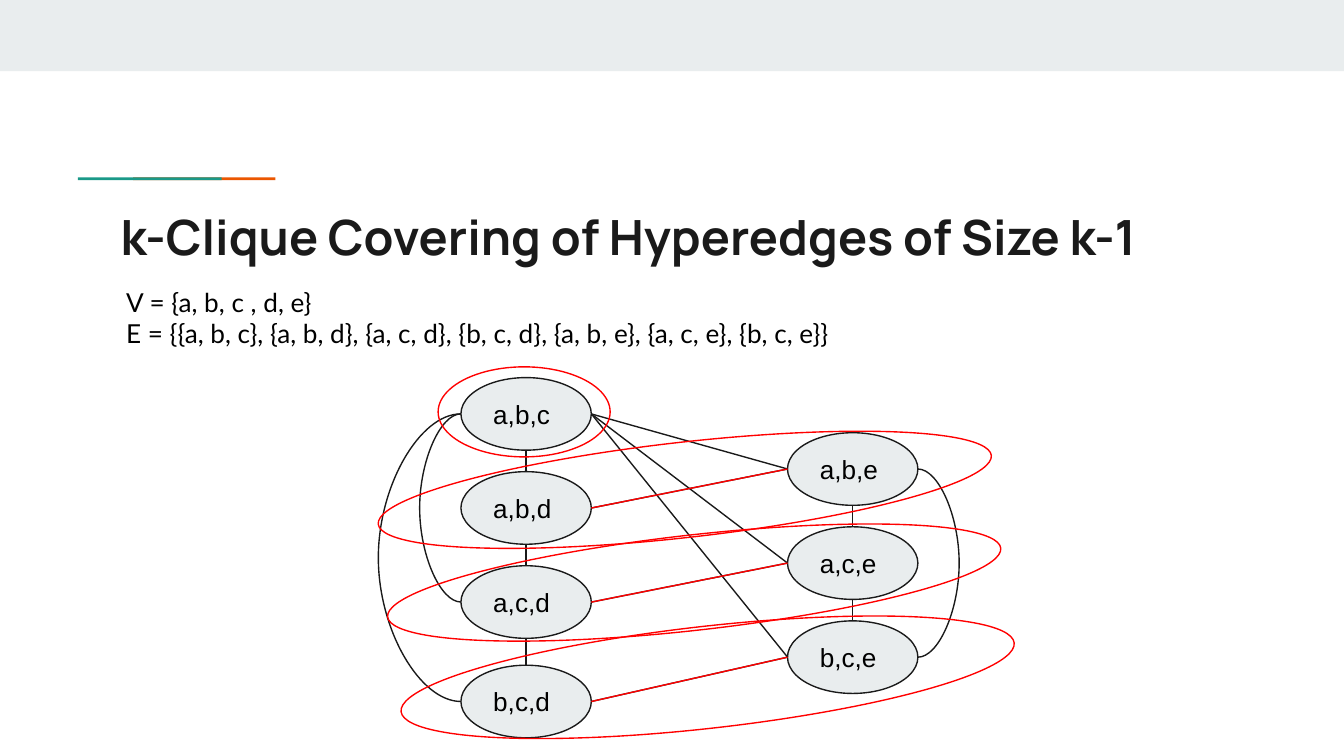
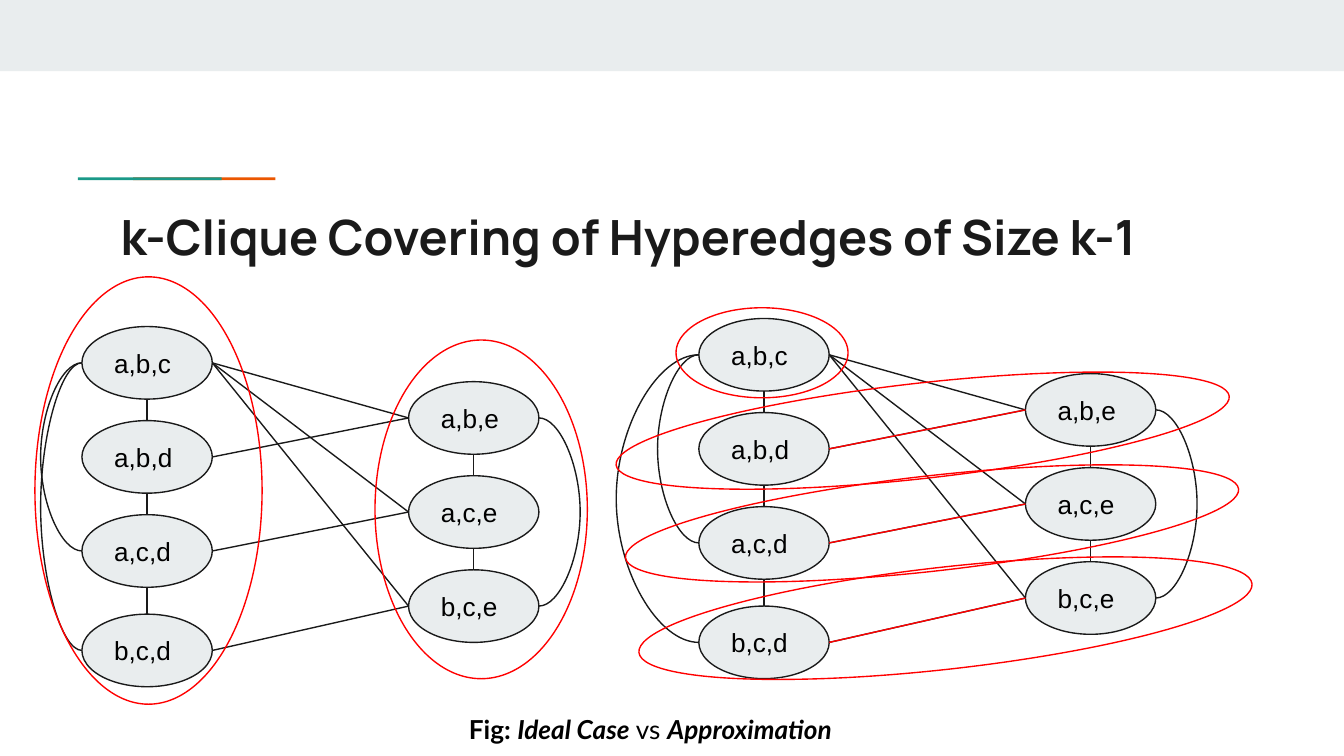
import dataclasses

import lxml.etree
import pptx
import pptx.dml.color
import pptx.enum.shapes
import pptx.enum.text
import pptx.oxml.ns
import pptx.util

Inches = pptx.util.Inches
Pt = pptx.util.Pt
SHAPES = pptx.enum.shapes.MSO_SHAPE
CONNECTORS = pptx.enum.shapes.MSO_CONNECTOR
qn = pptx.oxml.ns.qn


@dataclasses.dataclass(frozen=True)
class Theme:
    pale: str = "E9EDEE"
    ink: str = "1A1A1A"
    black: str = "000000"
    teal: str = "1A9988"
    orange: str = "EB5600"
    red: str = "FF0000"
    title_font: str = "Manrope"
    body_font: str = "Lato"
    node_font: str = "Arial"
    title_size: int = 26
    body_size: int = 14
    line_width: float = 0.75


theme = Theme()
rgb = pptx.dml.color.RGBColor.from_string


def write_text(shape, paragraphs, font=theme.body_font, size=theme.body_size,
               color=theme.black, anchor=pptx.enum.text.MSO_ANCHOR.TOP):
    frame = shape.text_frame
    frame.word_wrap = True
    frame.vertical_anchor = anchor
    frame.margin_left = frame.margin_right = Inches(0.1)
    frame.margin_top = frame.margin_bottom = Inches(0.1)
    for index, runs in enumerate(paragraphs):
        paragraph = frame.paragraphs[0] if index == 0 else frame.add_paragraph()
        paragraph.alignment = pptx.enum.text.PP_ALIGN.LEFT
        for text, style in runs:
            run = paragraph.add_run()
            run.text = text
            run.font.name = font
            run.font.size = Pt(size)
            run.font.color.rgb = rgb(color)
            run.font.bold = "b" in style
            run.font.italic = "i" in style


def draw_shape(slide, kind, box, fill=None, line=None, rotation=0):
    shape = slide.shapes.add_shape(kind, *map(Inches, box))
    shape.shadow.inherit = False
    shape.rotation = rotation
    if fill:
        shape.fill.solid()
        shape.fill.fore_color.rgb = rgb(fill)
    else:
        shape.fill.background()
    if line:
        shape.line.color.rgb = rgb(line)
        shape.line.width = Pt(theme.line_width)
    else:
        shape.line.fill.background()
    return shape


title = "k-Clique Covering of Hyperedges of Size k-1"
hypergraph = [
    [("V = {a, b, c , d, e}", "")],
    [("E = {{a, b, c}, {a, b, d}, {a, c, d}, {b, c, d}, {a, b, e}, {a, c, e}, {b, c, e}}", "")],
]
caption = [[("Fig: ", "b"), ("Ideal Case", "bi"), (" vs ", ""), ("Approximation", "bi")]]

node_width, node_height = 0.97, 0.54
d_column = {"a,b,c": 0, "a,b,d": 0.7, "a,c,d": 1.4, "b,c,d": 2.14}
e_column = {"a,b,e": 0.41, "a,c,e": 1.11, "b,c,e": 1.81}
nodes = {name: (0, y) for name, y in d_column.items()}
nodes.update({name: (2.43, y) for name, y in e_column.items()})

d_names, e_names = list(d_column), list(e_column)
matches = list(zip(d_names[1:], e_names))
cross_edges = [("a,b,c", name) for name in e_names] + matches
column_edges = [pair for names in (d_names, e_names) for pair in zip(names, names[1:])]

ideal_covers = [(-0.35, -0.37, 1.69, 3.18, 0), (2.18, 0.1, 1.58, 2.52, 0)]
approximate_covers = [
    (-0.63, 0.48, 4.59, 0.71, 353.6),
    (-0.56, 1.17, 4.59, 0.71, 353.6),
    (-0.46, 1.85, 4.59, 0.76, 353.6),
    (-0.17, -0.08, 1.28, 0.67, 0),
]
approximation = dict(covers=approximate_covers, matched=matches, outer_bulge=-0.52)
ideal = dict(covers=ideal_covers, matched=[], outer_bulge=-0.26)

pages = [
    dict(text=hypergraph, text_box=(0.84, 2.03, 8.36, 0.67),
         graphs=[(3.43, 2.81, approximation)]),
    dict(text=caption, text_box=(3.39, 5.21, 3.22, 0.38),
         graphs=[(5.2, 2.37, approximation), (0.61, 2.43, ideal)]),
]

deck = pptx.Presentation()
deck.slide_width = Inches(10)
deck.slide_height = deck.slide_width * 9 // 16
curve_width = Inches(0.01) // 15

for page in pages:
    slide = deck.slides.add_slide(deck.slide_layouts[6])
    draw_shape(slide, SHAPES.RECTANGLE, (0, 0, 10, 0.53), fill=theme.pale)
    draw_shape(slide, SHAPES.RECTANGLE, (0.99, 1.32, 1.06, 0.02), fill=theme.orange)
    draw_shape(slide, SHAPES.RECTANGLE, (0.58, 1.32, 1.07, 0.02), fill=theme.teal)
    heading = slide.shapes.add_textbox(*map(Inches, (0.8, 1.44, 8.41, 0.59)))
    write_text(heading, [[(title, "b")]], font=theme.title_font,
               size=theme.title_size, color=theme.ink)

    for left, top, graph in page["graphs"]:
        for name, (x, y) in nodes.items():
            node = draw_shape(slide, SHAPES.OVAL, (left + x, top + y, node_width, node_height),
                              fill=theme.pale, line=theme.ink)
            write_text(node, [[(name, "")]], font=theme.node_font,
                       anchor=pptx.enum.text.MSO_ANCHOR.MIDDLE)

        edges = []
        for upper, lower in column_edges:
            x = nodes[upper][0] + node_width / 2
            edges.append((x, nodes[upper][1] + node_height, x, nodes[lower][1], theme.ink, 0))
        for upper, lower, side, bulge in [
            ("a,b,e", "b,c,e", node_width, 0.26),
            ("a,b,c", "a,c,d", 0, -0.26),
            ("a,b,c", "b,c,d", 0, graph["outer_bulge"]),
        ]:
            x = nodes[upper][0] + side
            edges.append((x, nodes[upper][1] + node_height / 2,
                          x, nodes[lower][1] + node_height / 2, theme.ink, bulge))
        for pairs, color in [(cross_edges, theme.ink), (graph["matched"], theme.red)]:
            for start, end in pairs:
                edges.append((node_width, nodes[start][1] + node_height / 2,
                              nodes[end][0], nodes[end][1] + node_height / 2, color, 0))

        for x1, y1, x2, y2, color, bulge in edges:
            kind = CONNECTORS.CURVE if bulge else CONNECTORS.STRAIGHT
            end_x = Inches(left + x2) + (curve_width if bulge else 0)
            edge = slide.shapes.add_connector(
                kind, Inches(left + x1), Inches(top + y1), end_x, Inches(top + y2))
            edge.line.color.rgb = rgb(color)
            edge.line.width = Pt(theme.line_width)
            properties = edge._element.spPr
            lxml.etree.SubElement(properties, qn("a:effectLst"))
            if bulge:
                adjustments = properties.find(qn("a:prstGeom")).find(qn("a:avLst"))
                guide = lxml.etree.SubElement(adjustments, qn("a:gd"))
                guide.set("name", "adj1")
                guide.set("fmla", f"val {round(Inches(bulge) / curve_width * 100000)}")

        for x, y, width, height, rotation in graph["covers"]:
            draw_shape(slide, SHAPES.OVAL, (left + x, top + y, width, height),
                       line=theme.red, rotation=rotation)

    body = slide.shapes.add_textbox(*map(Inches, page["text_box"]))
    write_text(body, page["text"])

deck.save("out.pptx")
